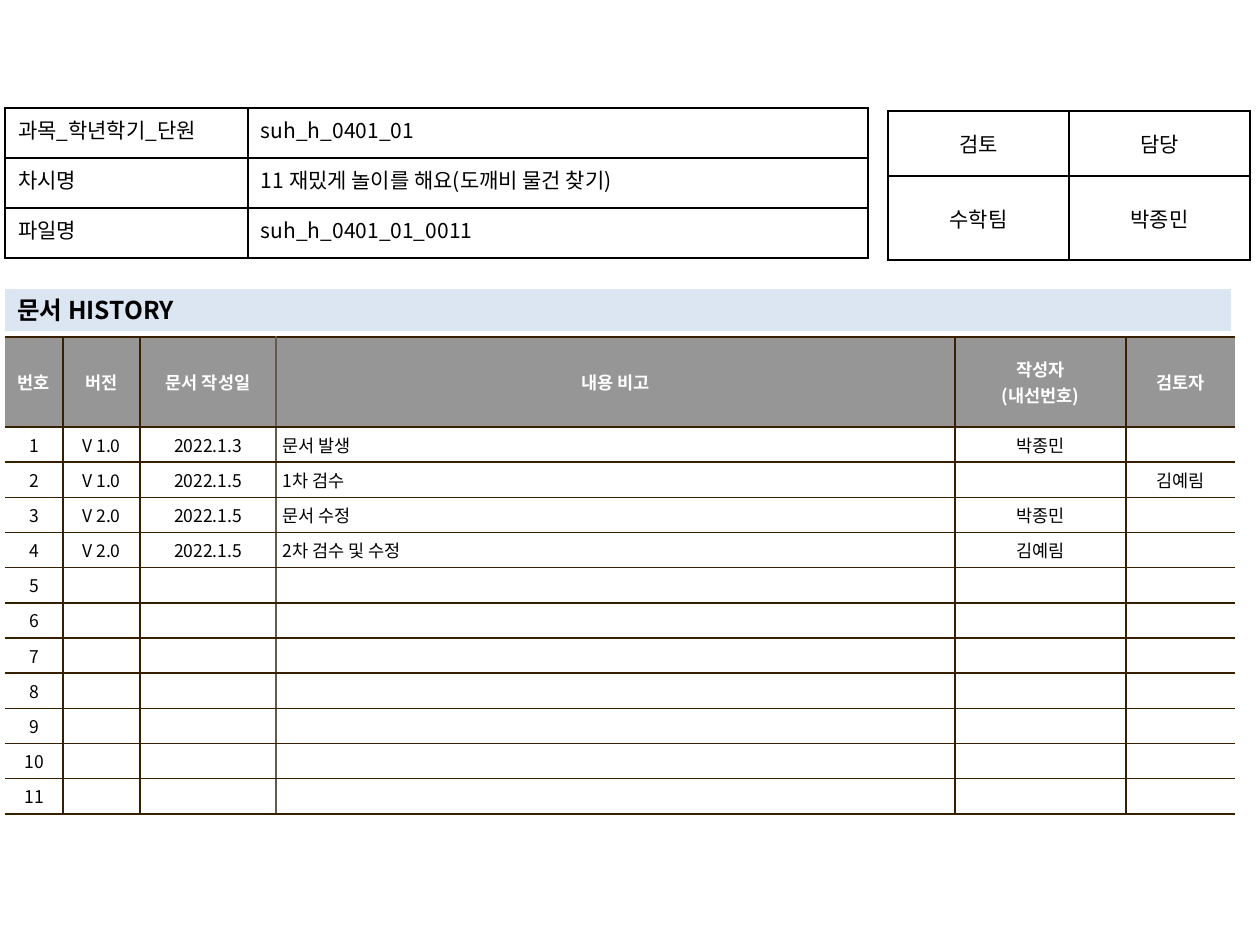
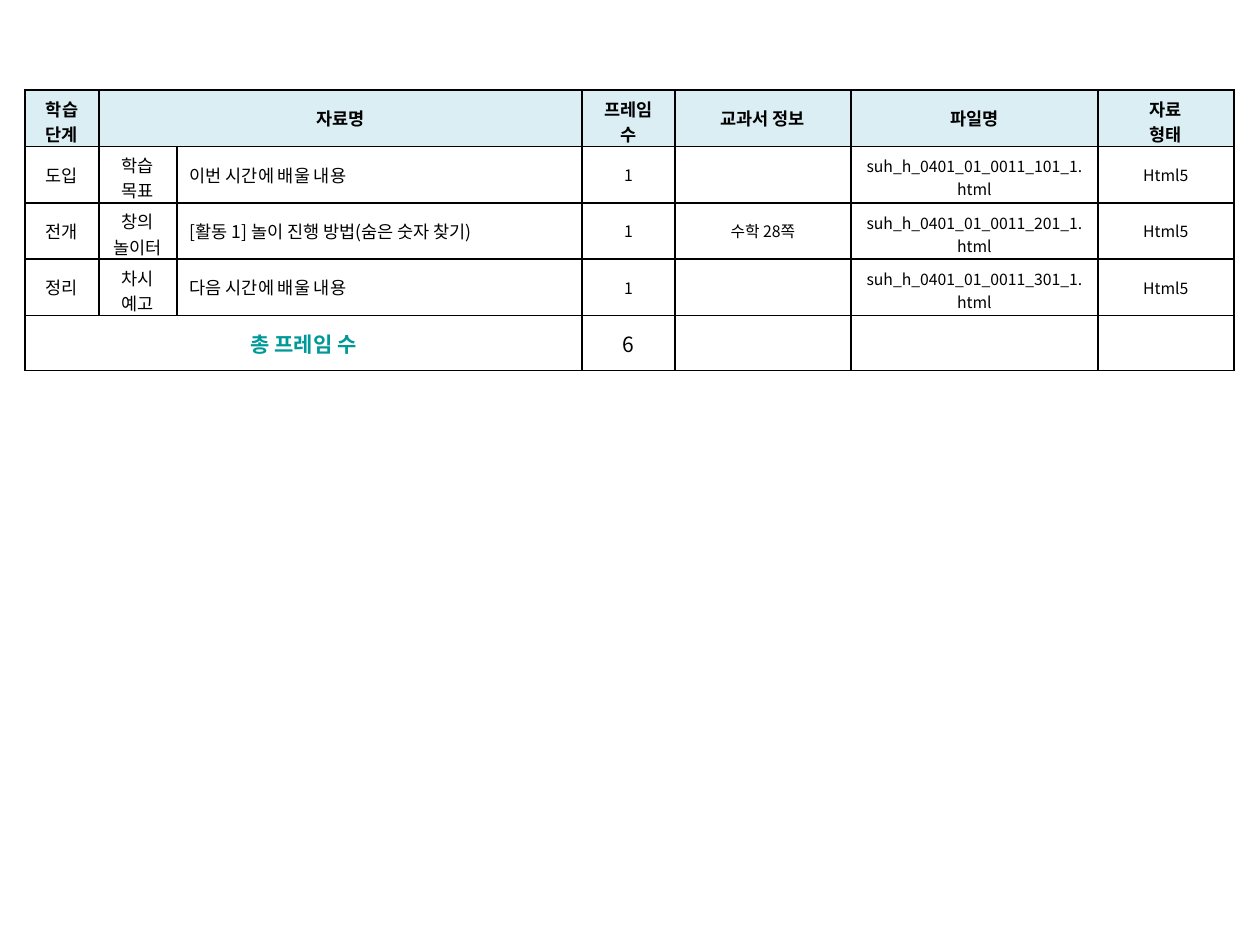
from lxml.etree import SubElement
from pptx import Presentation
from pptx.dml.color import RGBColor
from pptx.enum.shapes import MSO_SHAPE
from pptx.enum.text import MSO_ANCHOR as Anchor, PP_ALIGN as Align
from pptx.oxml import parse_xml
from pptx.oxml.ns import nsdecls, qn
from pptx.util import Pt

PX = 914400 / 126
FONT = "Noto Sans CJK KR"
COLORS = {
    "ink": "000000",
    "white": "FFFFFF",
    "header_gray": "969696",
    "brown": "362000",
    "light_brown": "645B4C",
    "band_blue": "DCE6F2",
    "header_blue": "DBEEF4",
    "teal": "009999",
}
BASE = {"size": 12, "bold": False, "color": "ink", "fill": None, "align": Align.CENTER,
        "anchor": Anchor.MIDDLE, "inset": (13, 6, 13, 6), "border": "ink", "edges": {}}


def write(frame, text, look):
    """Fill a text frame, one paragraph per line of text."""
    frame.text = text
    for paragraph in frame.paragraphs:
        paragraph.alignment = look["align"]
        for run in paragraph.runs:
            run.font.size = Pt(look["size"])
            run.font.bold = look["bold"]
            run.font.name = FONT
            run.font.color.rgb = RGBColor.from_string(COLORS[look["color"]])
            SubElement(run.font._element, qn("a:ea"), typeface=FONT)
        if not text:
            SubElement(paragraph._p, qn("a:endParaRPr"), sz=str(look["size"] * 100))


def add_grid(slide, left, top, widths, heights, rows, look_at):
    """Draw a table; look_at(row, column) gives what differs from BASE."""
    box = [round(n * PX) for n in (left, top, sum(widths), sum(heights))]
    table = slide.shapes.add_table(len(heights), len(widths), *box).table
    table.first_row = table.horz_banding = False
    for column, width in zip(table.columns, widths):
        column.width = round(width * PX)
    for row, height in zip(table.rows, heights):
        row.height = round(height * PX)
    for r, texts in enumerate(rows):
        for c, text in enumerate(texts):
            cell, look = table.cell(r, c), {**BASE, **look_at(r, c)}
            write(cell.text_frame, text, look)
            cell.vertical_anchor = look["anchor"]
            for side, inset in zip(("left", "top", "right", "bottom"), look["inset"]):
                setattr(cell, f"margin_{side}", round(inset * PX))
            if look["fill"]:
                cell.fill.solid()
                cell.fill.fore_color.rgb = RGBColor.from_string(COLORS[look["fill"]])
            else:
                cell.fill.background()
            for place, side in enumerate("LRTB"):
                color = look["edges"].get(side, look["border"])
                paint = (f'<a:solidFill><a:srgbClr val="{COLORS[color]}"/></a:solidFill>'
                         if color else "<a:noFill/>")
                line = f'<a:ln{side} {nsdecls("a")} w="12700">{paint}</a:ln{side}>'
                cell._tc.get_or_add_tcPr().insert(place, parse_xml(line))
    return table


deck = Presentation()
deck.slide_width, deck.slide_height = round(1260 * PX), round(945 * PX)
blank = deck.slide_layouts[6]

# Slide 1: document details and history
cover = deck.slides.add_slide(blank)

history = [
    ["번호", "버전", "문서 작성일", "내용 비고", "작성자\n(내선번호)", "검토자"],
    ["1", "V 1.0", "2022.1.3", "문서 발생", "박종민", ""],
    ["2", "V 1.0", "2022.1.5", "1차 검수", "", "김예림"],
    ["3", "V 2.0", "2022.1.5", "문서 수정", "박종민", ""],
    ["4", "V 2.0", "2022.1.5", "2차 검수 및 수정", "김예림", ""],
]
history += [[str(number)] + [""] * 5 for number in range(5, 12)]
history_edges = {0: {"L": None}, 2: {"R": "light_brown"},
                 3: {"L": "light_brown"}, 5: {"R": None}}


def history_look(row, column):
    look = {"size": 10, "fill": "white", "inset": (7, 5, 7, 5), "border": "brown",
            "edges": history_edges.get(column, {})}
    if row == 0:
        look.update(bold=True, color="white", fill="header_gray")
    elif column == 3:
        look.update(align=Align.LEFT)
    return look


add_grid(cover, 5, 337, [58, 77, 136, 679, 171, 109], [90] + [35] * 11,
         history, history_look)

review = [["검토", "담당"], ["수학팀", "박종민"]]
add_grid(cover, 888, 111, [181, 181], [65, 84], review, lambda row, column: {})

band = cover.shapes.add_shape(MSO_SHAPE.RECTANGLE,
                              *[round(n * PX) for n in (5, 289, 1226, 42)])
band.shadow.inherit = False
band.fill.solid()
band.fill.fore_color.rgb = RGBColor.from_string(COLORS["band_blue"])
band.line.fill.background()
band.text_frame.vertical_anchor = Anchor.MIDDLE
write(band.text_frame, "문서 HISTORY", {**BASE, "size": 14, "bold": True, "align": Align.LEFT})

details = [
    ["과목_학년학기_단원", "suh_h_0401_01"],
    ["차시명", "11 재밌게 놀이를 해요(도깨비 물건 찾기)"],
    ["파일명", "suh_h_0401_01_0011"],
]
add_grid(cover, 5, 108, [243, 620], [50] * 3, details,
         lambda row, column: {"anchor": Anchor.TOP,
                              "align": (Align.JUSTIFY, Align.LEFT)[column]})

# Slide 2: frame list
frame_list = deck.slides.add_slide(blank)

frames = [
    ["학습 단계", "자료명", "", "프레임 수", "교과서 정보", "파일명", "자료\n형태"],
    ["도입", "학습 목표", "이번 시간에 배울 내용", "1", "",
     "suh_h_0401_01_0011_101_1.html", "Html5"],
    ["전개", "창의\n놀이터", "[활동 1] 놀이 진행 방법(숨은 숫자 찾기)", "1", "수학 28쪽",
     "suh_h_0401_01_0011_201_1.html", "Html5"],
    ["정리", "차시 예고", "다음 시간에 배울 내용", "1", "",
     "suh_h_0401_01_0011_301_1.html", "Html5"],
    ["총 프레임 수", "", "", "6", "", "", ""],
]
TOTAL = len(frames) - 1


def frame_look(row, column):
    look = {"size": 10 if row == 0 or column < 3 else 9}
    if row == 0:
        look.update(bold=True, fill="header_blue")
    elif row == TOTAL:
        look.update(size=12, bold=column == 0, color="ink" if column else "teal")
    elif column == 2:
        look.update(align=Align.LEFT)
    # Two-line cells only fit their row without a bottom inset
    if column in ((0, 3, 6) if row == 0 else (1, 5)):
        look.update(inset=(13, 6, 13, 0))
    return look


frame_table = add_grid(frame_list, 25, 90, [74, 78, 405, 93, 176, 247, 136], [55] * 5,
                       frames, frame_look)
frame_table.cell(0, 1).merge(frame_table.cell(0, 2))
frame_table.cell(TOTAL, 0).merge(frame_table.cell(TOTAL, 2))

deck.save("out.pptx")
